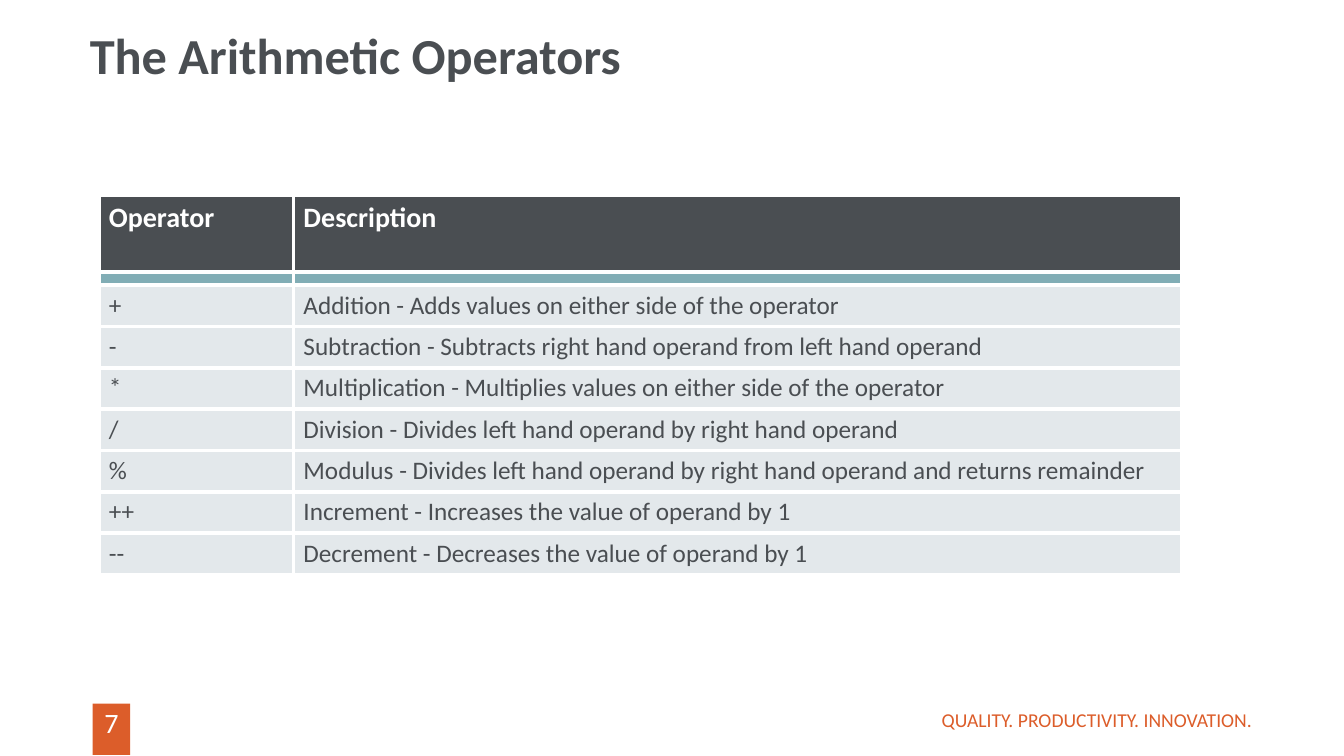
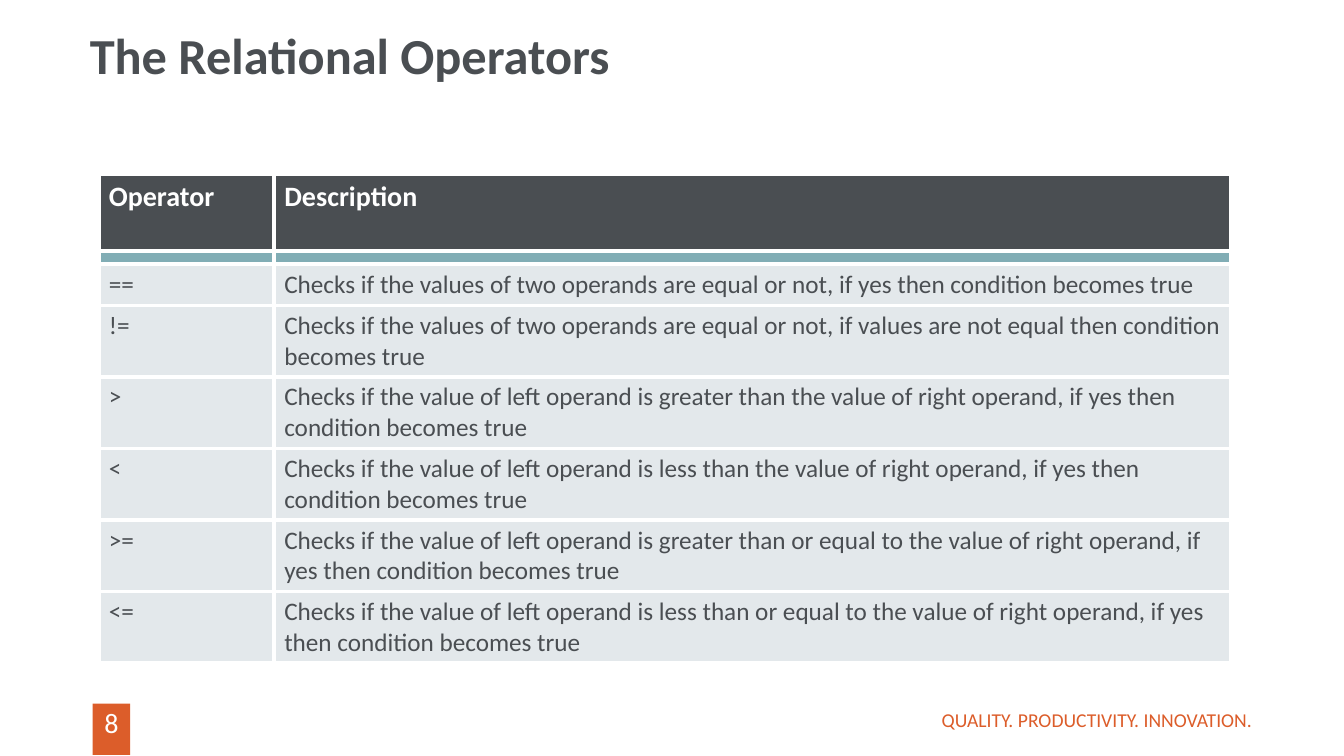
from dataclasses import dataclass

from lxml import etree
from pptx import Presentation
from pptx.dml.color import RGBColor
from pptx.enum import shapes, text
from pptx.oxml import ns
from pptx.util import Inches, Pt

SLATE = RGBColor(0x4A, 0x4E, 0x52)
TEAL = RGBColor(0x81, 0xAD, 0xB5)
PALE = RGBColor(0xE3, 0xE8, 0xEB)
ORANGE = RGBColor(0xDC, 0x5D, 0x2A)
WHITE = RGBColor(0xFF, 0xFF, 0xFF)
FONT = "Calibri"
MOTTO = "QUALITY. PRODUCTIVITY. INNOVATION."
LEFT, HEAD, STRIPE = 0.98, 0.76, 0.13
PAD, LINE = 0.11, 0.3


@dataclass(frozen=True)
class Row:
    sign: str
    about: str
    lines: int = 1


@dataclass(frozen=True)
class Page:
    number: int
    title: str
    top: float
    widths: tuple[float, float]
    rows: tuple[Row, ...]


PAGES = (
    Page(7, "The Arithmetic Operators", 1.94, (1.93, 8.81), (
        Row("+", "Addition - Adds values on either side of the operator"),
        Row("-", "Subtraction - Subtracts right hand operand from left hand operand"),
        Row("*", "Multiplication - Multiplies values on either side of the operator"),
        Row("/", "Division - Divides left hand operand by right hand operand"),
        Row("%", "Modulus - Divides left hand operand by right hand operand "
                 "and returns remainder"),
        Row("++", "Increment - Increases the value of operand by 1"),
        Row("--", "Decrement - Decreases the value of operand by 1"),
    )),
    Page(8, "The Relational Operators", 1.73, (1.74, 9.49), (
        Row("==", "Checks if the values of two operands are equal or not, "
                  "if yes then condition becomes true"),
        Row("!=", "Checks if the values of two operands are equal or not, "
                  "if values are not equal then condition becomes true", 2),
        Row(">", "Checks if the value of left operand is greater than "
                 "the value of right operand, if yes then condition becomes true", 2),
        Row("<", "Checks if the value of left operand is less than "
                 "the value of right operand, if yes then condition becomes true", 2),
        Row(">=", "Checks if the value of left operand is greater than or equal to "
                  "the value of right operand, if yes then condition becomes true", 2),
        Row("<=", "Checks if the value of left operand is less than or equal to "
                  "the value of right operand, if yes then condition becomes true", 2),
    )),
)


def write(para, words: str, size: int, color: RGBColor, bold: bool = False) -> None:
    run = para.add_run()
    run.text = words
    font = run.font
    font.name, font.size, font.bold = FONT, Pt(size), bold
    font.color.rgb = color


def inset(frame, left: float, top: float, right: float, bottom: float) -> None:
    frame.margin_left, frame.margin_top = Inches(left), Inches(top)
    frame.margin_right, frame.margin_bottom = Inches(right), Inches(bottom)


def add_box(slide, left: float, top: float, width: float, height: float):
    box = slide.shapes.add_textbox(
        Inches(left), Inches(top), Inches(width), Inches(height))
    box.text_frame.word_wrap = True
    return box.text_frame


def add_frame(slide, page: Page) -> None:
    """Draw the number tab, title and motto that every slide carries."""
    tab = slide.shapes.add_shape(
        shapes.MSO_SHAPE.RECTANGLE,
        Inches(0.92), Inches(6.98), Inches(0.37), Inches(0.51))
    tab.shadow.inherit = False
    tab.fill.solid()
    tab.fill.fore_color.rgb = ORANGE
    tab.line.fill.background()
    frame = tab.text_frame
    inset(frame, 0, 0.02, 0, 0)
    frame.vertical_anchor = text.MSO_ANCHOR.TOP
    para = frame.paragraphs[0]
    para.alignment = text.PP_ALIGN.CENTER
    write(para, str(page.number), 20, WHITE)

    frame = add_box(slide, 0.89, 0.26, 9.31, 1.19)
    inset(frame, 0, 0.05, 0.1, 0.05)
    para = frame.paragraphs[0]
    para.line_spacing = 0.9
    write(para, page.title, 36, SLATE, True)

    frame = add_box(slide, 8.35, 6.94, 4.07, 0.4)
    inset(frame, 0, 0, 0, 0)
    frame.vertical_anchor = text.MSO_ANCHOR.MIDDLE
    para = frame.paragraphs[0]
    para.alignment = text.PP_ALIGN.RIGHT
    write(para, MOTTO, 14, ORANGE)


def paint(cell, color: RGBColor) -> None:
    """Give a cell its white borders and its fill."""
    props = cell._tc.get_or_add_tcPr()
    for side in ("a:lnL", "a:lnR", "a:lnT", "a:lnB"):
        edge = etree.SubElement(props, ns.qn(side), w=str(Pt(3)))
        solid = etree.SubElement(edge, ns.qn("a:solidFill"))
        etree.SubElement(solid, ns.qn("a:srgbClr"), val=str(WHITE))
    cell.fill.solid()
    cell.fill.fore_color.rgb = color


def shrink(cell) -> None:
    """Let an empty cell be as low as its row."""
    inset(cell, 0, 0, 0, 0)
    para = cell.text_frame.paragraphs[0]
    etree.SubElement(para._p, ns.qn("a:endParaRPr"), sz="100")


def add_grid(slide, page: Page) -> None:
    heights = [HEAD, STRIPE] + [PAD + LINE * row.lines for row in page.rows]
    grid = slide.shapes.add_table(
        len(heights), len(page.widths), Inches(LEFT), Inches(page.top),
        Inches(sum(page.widths)), Inches(sum(heights))).table
    grid.first_row = grid.horz_banding = False
    for col, width in zip(grid.columns, page.widths):
        col.width = Inches(width)
    for line, height in zip(grid.rows, heights):
        line.height = Inches(height)

    for col, label in enumerate(("Operator", "Description")):
        head, stripe = grid.cell(0, col), grid.cell(1, col)
        paint(head, SLATE)
        write(head.text_frame.paragraphs[0], label, 20, WHITE, True)
        paint(stripe, TEAL)
        shrink(stripe)
    for index, row in enumerate(page.rows, 2):
        for col, words in enumerate((row.sign, row.about)):
            cell = grid.cell(index, col)
            paint(cell, PALE)
            write(cell.text_frame.paragraphs[0], words, 18, SLATE)


def main() -> None:
    deck = Presentation()
    deck.slide_width, deck.slide_height = Inches(13.33), Inches(7.5)
    for page in PAGES:
        slide = deck.slides.add_slide(deck.slide_layouts[6])
        add_frame(slide, page)
        add_grid(slide, page)
    deck.save("out.pptx")


if __name__ == "__main__":
    main()
